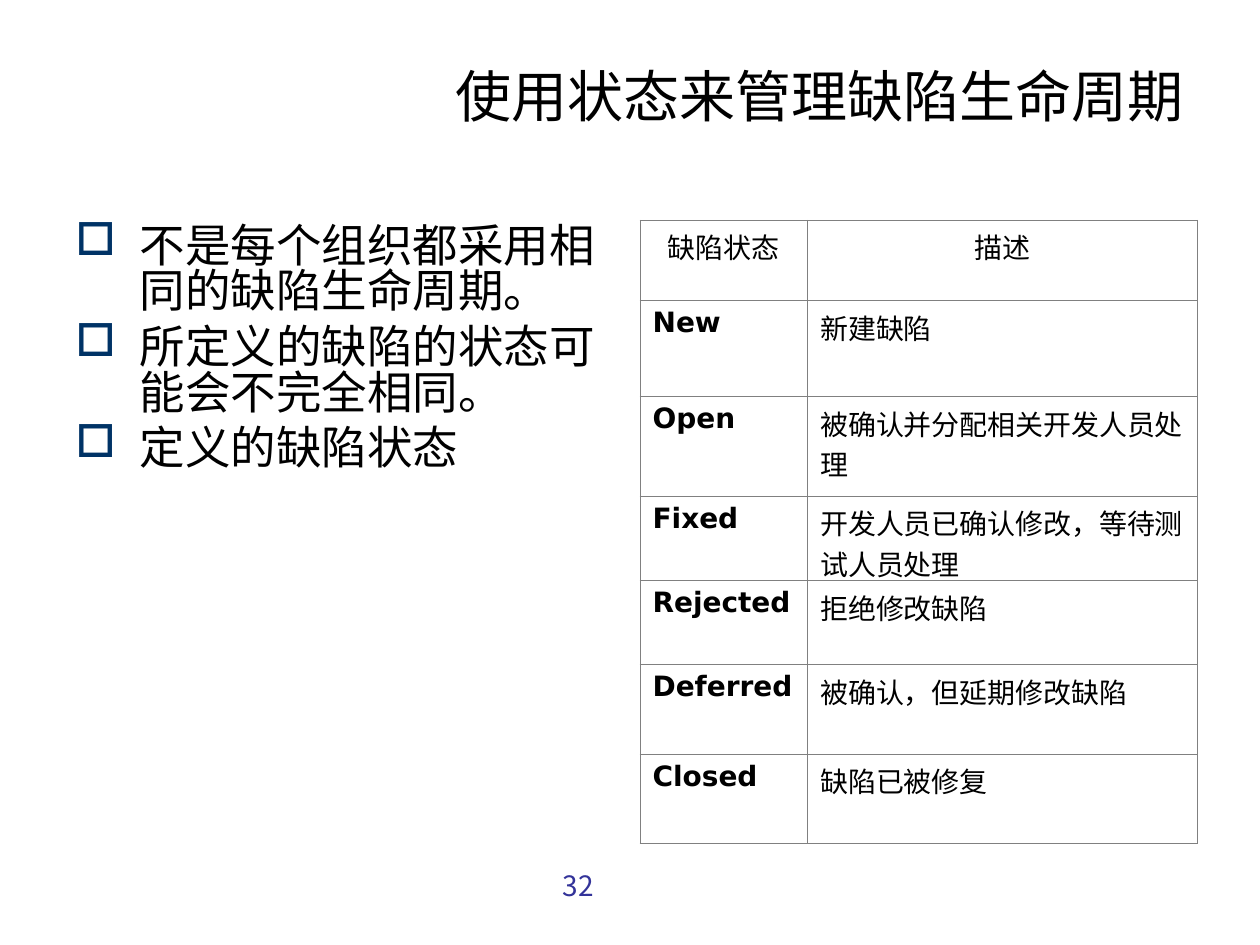
from pptx import Presentation
from pptx.dml.color import RGBColor
from pptx.enum.text import MSO_ANCHOR, PP_ALIGN as Align
from pptx.oxml import parse_xml
from pptx.oxml.ns import nsdecls
from pptx.util import Inches, Pt

WIDTH, HEIGHT = Inches(10), Inches(7.5)
MARGIN, COLUMN = 0.05, 0.442
CONTENT_TOP, CONTENT_HEIGHT = 0.233, 0.66
LATIN, CHINESE = "DejaVu Sans", "Noto Sans CJK SC"
COLORS = {"text": "000000", "bullet": "003366", "number": "333399", "border": "808080"}
TITLE = "使用状态来管理缺陷生命周期"
POINTS = [
    "不是每个组织都采用相同的缺陷生命周期。",
    "所定义的缺陷的状态可能会不完全相同。",
    "定义的缺陷状态",
]
STATES = [
    ("缺陷状态", "描述"),
    ("New", "新建缺陷"),
    ("Open", "被确认并分配相关开发人员处理"),
    ("Fixed", "开发人员已确认修改，等待测试人员处理"),
    ("Rejected", "拒绝修改缺陷"),
    ("Deferred", "被确认，但延期修改缺陷"),
    ("Closed", "缺陷已被修复"),
]
COLUMN_WIDTHS = [1.33, 3.09]
ROW_HEIGHTS = [0.64, 0.76, 0.79, 0.67, 0.67, 0.71, 0.71]


def color(hex_value):
    """Turn a hex string into a colour."""
    return RGBColor.from_string(hex_value)


def area(left, top, width, height):
    """Turn shares of the slide's size into lengths."""
    return [round(share * full) for share, full in
            zip((left, top, width, height), (WIDTH, HEIGHT) * 2)]


def style(paragraph, size, hex_value=COLORS["text"], name=LATIN, bold=False, **layout):
    """Format a paragraph and its font."""
    font = paragraph.font
    for key, value in {"size": Pt(size), "name": name, "bold": bold}.items():
        setattr(font, key, value)
    font.color.rgb = color(hex_value)
    for key, value in layout.items():
        setattr(paragraph, key, value)


def add_text(slide, box, lines):
    """Add a wrapping text box and return its paragraphs."""
    frame = slide.shapes.add_textbox(*area(*box)).text_frame
    frame.word_wrap = True
    frame.vertical_anchor = MSO_ANCHOR.TOP
    frame.text = "\n".join(lines)
    return frame.paragraphs


def add_bullet(paragraph):
    """Give a paragraph a hanging square bullet."""
    properties = paragraph._p.get_or_add_pPr()
    indent = Inches(0.51)
    properties.set("marL", str(indent))
    properties.set("indent", str(-indent))
    for xml in (
        f'<a:buClr {nsdecls("a")}><a:srgbClr val="{COLORS["bullet"]}"/></a:buClr>',
        f'<a:buChar {nsdecls("a")} char="□"/>',
    ):
        properties.append(parse_xml(xml))


def add_bullets(slide, box, lines):
    """Add a bulleted list."""
    for index, paragraph in enumerate(add_text(slide, box, lines)):
        add_bullet(paragraph)
        style(paragraph, 26, line_spacing=0.83, space_before=Pt(6 if index else 0))


def add_borders(cell):
    """Draw a thin line on each side of a cell."""
    properties = cell._tc.get_or_add_tcPr()
    for index, side in enumerate(("lnL", "lnR", "lnT", "lnB")):
        properties.insert(index, parse_xml(
            f'<a:{side} {nsdecls("a")} w="{Pt(0.45)}"><a:solidFill>'
            f'<a:srgbClr val="{COLORS["border"]}"/></a:solidFill></a:{side}>'))


def add_table(slide, box, rows):
    """Add a bordered table with a centred header and bold state names."""
    table = slide.shapes.add_table(len(rows), len(rows[0]), *area(*box)).table
    table.first_row = table.horz_banding = False
    for column, width in zip(table.columns, COLUMN_WIDTHS):
        column.width = Inches(width)
    for row, height in zip(table.rows, ROW_HEIGHTS):
        row.height = Inches(height)
    for row_index, texts in enumerate(rows):
        for column_index, text in enumerate(texts):
            cell = table.cell(row_index, column_index)
            cell.text = text
            cell.fill.background()
            add_borders(cell)
            style(cell.text_frame.paragraphs[0], 16,
                  bold=row_index > 0 and column_index == 0,
                  alignment=Align.LEFT if row_index else Align.CENTER)


def main():
    """Build the slide and save it."""
    presentation = Presentation()
    presentation.slide_width, presentation.slide_height = WIDTH, HEIGHT
    slide = presentation.slides.add_slide(presentation.slide_layouts[6])
    title = add_text(slide, (MARGIN, 0.059, 1 - 2 * MARGIN, 0.148), [TITLE])
    style(title[0], 32, alignment=Align.RIGHT)
    add_bullets(slide, (MARGIN, CONTENT_TOP, COLUMN, CONTENT_HEIGHT), POINTS)
    right = 1 - MARGIN - COLUMN
    add_table(slide, (right, CONTENT_TOP, COLUMN, CONTENT_HEIGHT), STATES)
    number = add_text(slide, (0.437, 0.913, 0.11, 0.07), ["32"])
    style(number[0], 16, COLORS["number"], CHINESE)
    presentation.save("out.pptx")


if __name__ == "__main__":
    main()
